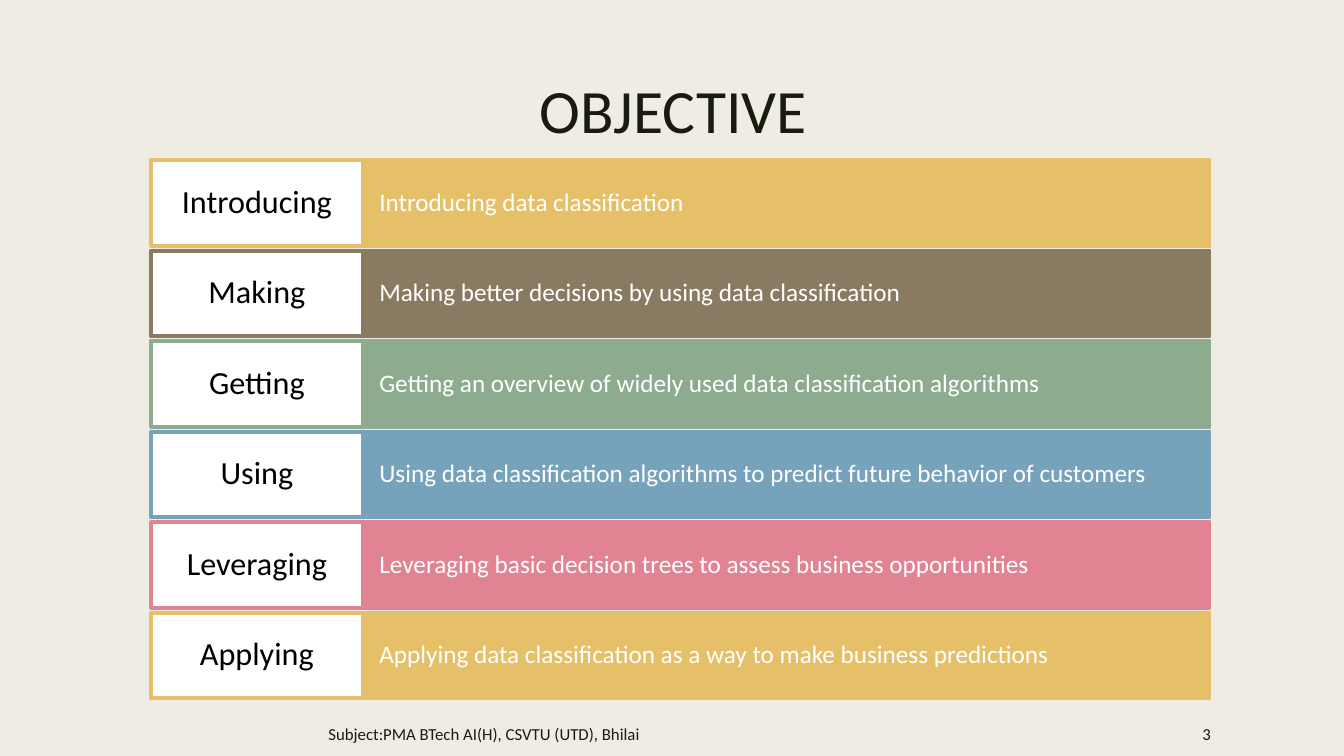
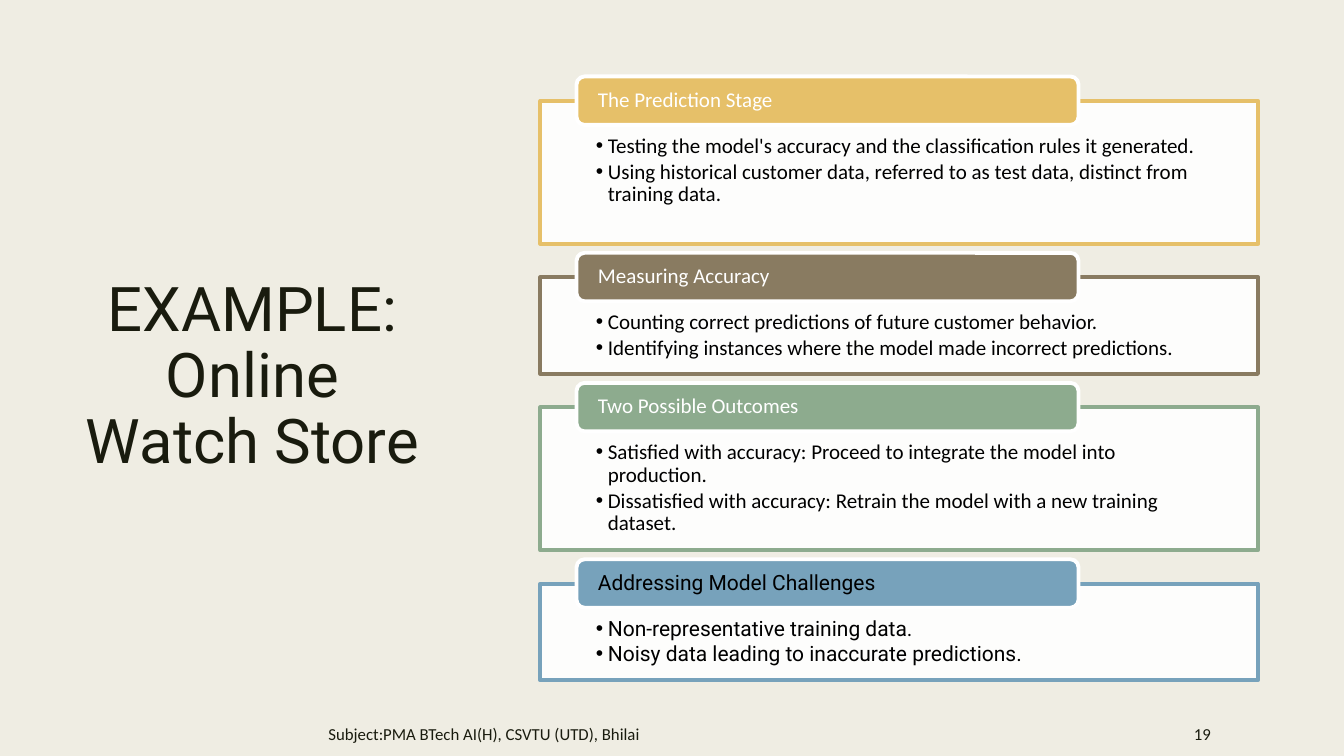
from dataclasses import dataclass

from lxml.etree import SubElement
from pptx import Presentation
from pptx.dml.color import RGBColor as Color
from pptx.enum.shapes import MSO_SHAPE as Shape
from pptx.enum.text import MSO_ANCHOR as Anchor, PP_ALIGN as Align
from pptx.oxml.ns import qn
from pptx.util import Pt


@dataclass(frozen=True)
class Theme:
    background: str = "EFEDE3"
    ink: str = "191B0E"
    black: str = "000000"
    white: str = "FFFFFF"
    accents: tuple = ("E6C069", "897B61", "8DAB8E", "77A2BB", "E28394")
    font: str = "Calibri"
    alternate_font: str = "Roboto"
    title_size: int = 44
    label_size: int = 23
    row_size: int = 18
    panel_size: int = 15
    footer_size: int = 12
    border: float = 2.75
    title_spacing: float = 0.89
    body_spacing: float = 0.9


THEME = Theme()
FOOTER = "Subject:PMA BTech AI(H), CSVTU (UTD), Bhilai"

OBJECTIVES = [
    ("Introducing", "Introducing data classification"),
    ("Making", "Making better decisions by using data classification"),
    ("Getting", "Getting an overview of widely used data classification algorithms"),
    ("Using", "Using data classification algorithms to predict future behavior of customers"),
    ("Leveraging", "Leveraging basic decision trees to assess business opportunities"),
    ("Applying", "Applying data classification as a way to make business predictions"),
]

# heading, panel height, font, heading colour, bullets
STAGES = [
    ("The Prediction Stage", 102.2, THEME.font, THEME.white, [
        "Testing the model's accuracy and the classification rules it generated.",
        "Using historical customer data, referred to as test data, distinct from training data.",
    ]),
    ("Measuring Accuracy", 69.1, THEME.font, THEME.white, [
        "Counting correct predictions of future customer behavior.",
        "Identifying instances where the model made incorrect predictions.",
    ]),
    ("Two Possible Outcomes", 102.2, THEME.font, THEME.white, [
        "Satisfied with accuracy: Proceed to integrate the model into production.",
        "Dissatisfied with accuracy: Retrain the model with a new training dataset.",
    ]),
    ("Addressing Model Challenges", 69.1, THEME.alternate_font, THEME.black, [
        "Non-representative training data.",
        "Noisy data leading to inaccurate predictions.",
    ]),
]


def add_slide(deck):
    page = deck.slides.add_slide(deck.slide_layouts[6])
    page.background.fill.solid()
    page.background.fill.fore_color.rgb = Color.from_string(THEME.background)
    return page


def add_box(page, area, fill, line, kind=Shape.RECTANGLE):
    box = page.shapes.add_shape(kind, *map(Pt, area))
    box.shadow.inherit = False
    box.fill.solid()
    box.fill.fore_color.rgb = Color.from_string(fill)
    box.line.color.rgb = Color.from_string(line)
    box.line.width = Pt(THEME.border)
    return box


def set_opacity(box, percent):
    color = box.fill._xPr.find(qn("a:solidFill"))[0]
    SubElement(color, qn("a:alpha"), val=str(percent * 1000))


def set_bullet(para, indent):
    properties = para._p.get_or_add_pPr()
    properties.set("marL", str(Pt(indent)))
    properties.set("indent", str(-Pt(indent)))
    SubElement(properties, qn("a:buFont"), typeface="Arial")
    SubElement(properties, qn("a:buChar"), char="•")


def write(box, lines, size, color, font=THEME.font, align=Align.LEFT, anchor=Anchor.MIDDLE,
          insets=(7.2, 3.6), spacing=1.0, after=0, bullet_indent=None):
    """Fill a box with one paragraph per line; insets are (sides, top and bottom)."""
    frame = box.text_frame
    frame.word_wrap = True
    frame.vertical_anchor = anchor
    frame.margin_left = frame.margin_right = Pt(insets[0])
    frame.margin_top = frame.margin_bottom = Pt(insets[1])
    for index, line in enumerate(lines):
        para = frame.add_paragraph() if index else frame.paragraphs[0]
        if bullet_indent:
            set_bullet(para, bullet_indent)
        para.alignment = align
        para.line_spacing = spacing
        para.space_after = Pt(after)
        span = para.add_run()
        span.text = line
        span.font.name = font
        span.font.size = Pt(size)
        span.font.color.rgb = Color.from_string(color)


def add_text(page, area, text, size, **style):
    box = page.shapes.add_textbox(*map(Pt, area))
    write(box, [text], size, THEME.ink, **style)


def add_title(page, area, text, **style):
    add_text(page, area, text, THEME.title_size, align=Align.CENTER,
             spacing=THEME.title_spacing, **style)


def add_footer(page, number):
    top, height = 508.3, 31.7
    add_text(page, (227.5, top, 494.6, height), FOOTER, THEME.footer_size)
    add_text(page, (746, top, 126, height), str(number), THEME.footer_size, align=Align.RIGHT)


def add_objective_row(page, top, accent, label, text):
    left, label_width, text_width, height = 108, 151.2, 604.8, 61.2
    bar = add_box(page, (left + label_width, top, text_width, height), accent, accent)
    write(bar, [text], THEME.row_size, THEME.white, insets=(11.8, 15.5),
          spacing=THEME.body_spacing)
    tag = add_box(page, (left, top, label_width, height), THEME.white, accent)
    write(tag, [label], THEME.label_size, THEME.black, align=Align.CENTER,
          insets=(8, 6), spacing=THEME.body_spacing)


def add_stage_panel(page, top, accent, stage):
    heading, height, font, heading_color, bullets = stage
    panel = add_box(page, (386, top, 512.6, height), THEME.white, accent)
    set_opacity(panel, 90)
    write(panel, bullets, THEME.panel_size, THEME.black, font, anchor=Anchor.TOP,
          insets=(39.6, 24.5), spacing=THEME.body_spacing, after=2.2, bullet_indent=8.6)
    panel.text_frame.margin_bottom = Pt(8.6)
    tab = add_box(page, (411.8, top - 17.4, 358.6, 34.6), accent, THEME.white,
                  Shape.ROUNDED_RECTANGLE)
    write(tab, [heading], THEME.panel_size, heading_color, font, insets=(13.6, 0),
          spacing=THEME.body_spacing)


def build_objectives(deck):
    page = add_slide(deck)
    add_title(page, (103, 54, 756, 116.6), "OBJECTIVE", anchor=Anchor.TOP)
    first_top, step = 114.4, 64.65
    for index, (label, text) in enumerate(OBJECTIVES):
        accent = THEME.accents[index % len(THEME.accents)]
        add_objective_row(page, first_top + index * step, accent, label, text)
    add_footer(page, 3)


def build_example(deck):
    page = add_slide(deck)
    add_title(page, (50.4, 50.4, 260, 439.2), "EXAMPLE: Online Watch Store",
              font=THEME.alternate_font)
    top, gap = 72, 23.8
    for accent, stage in zip(THEME.accents, STAGES):
        add_stage_panel(page, top, accent, stage)
        top += stage[1] + gap
    add_footer(page, 19)


def main():
    deck = Presentation()
    deck.slide_width, deck.slide_height = Pt(960), Pt(540)
    build_objectives(deck)
    build_example(deck)
    deck.save("out.pptx")


if __name__ == "__main__":
    main()
